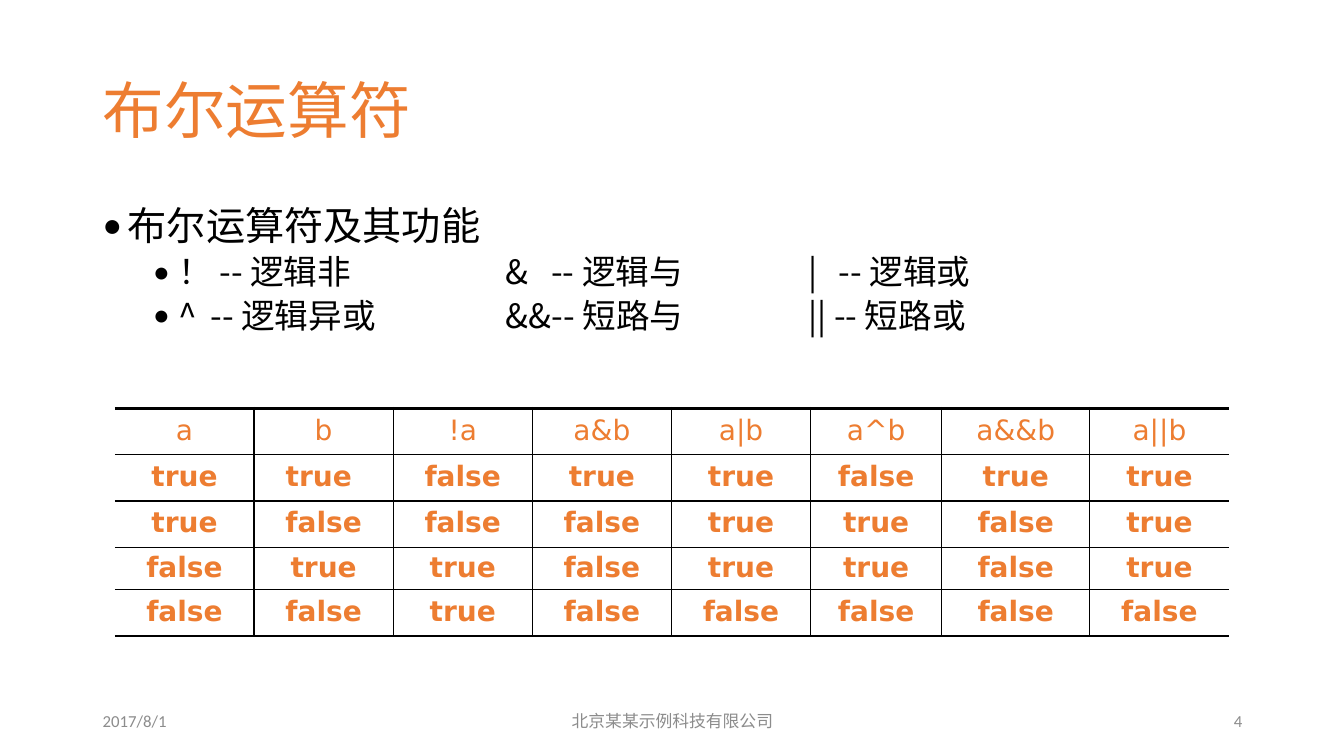
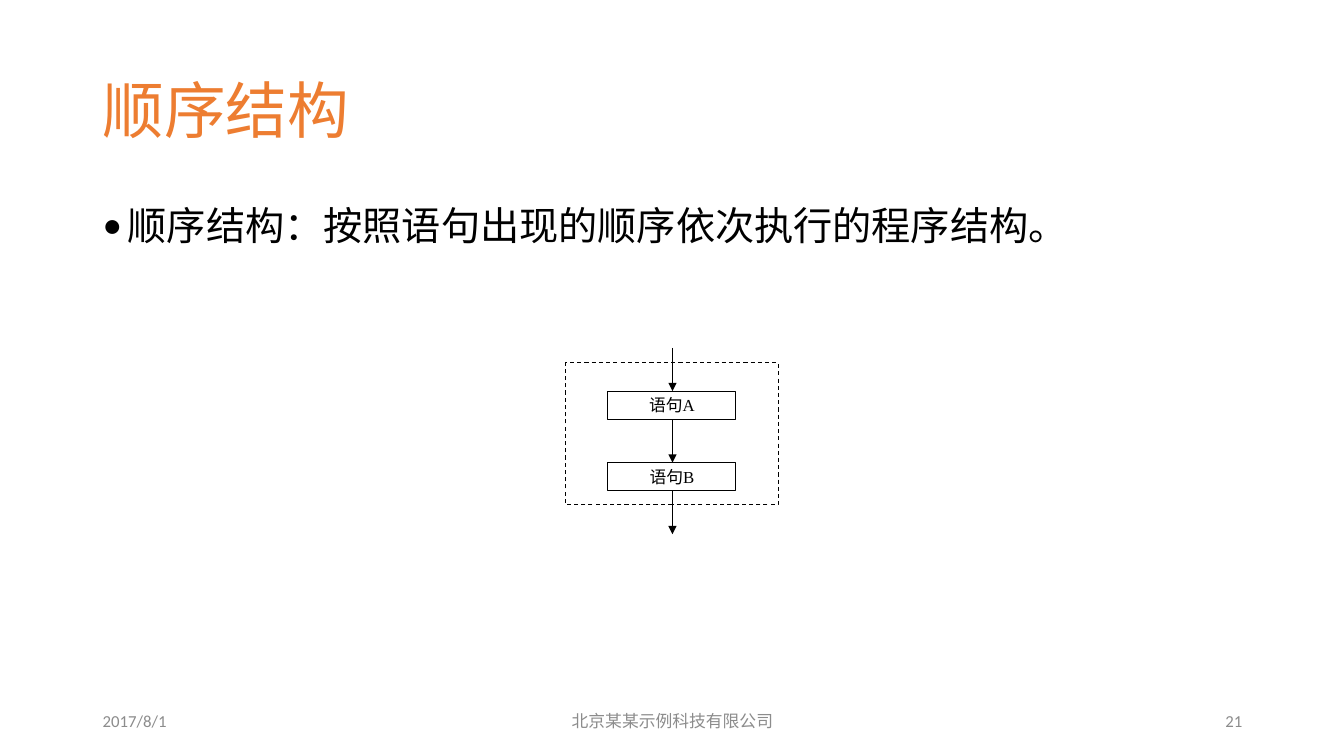
from dataclasses import dataclass

from lxml.etree import SubElement
from pptx import Presentation
from pptx.dml.color import RGBColor
from pptx.enum.dml import MSO_LINE
from pptx.enum.shapes import MSO_CONNECTOR, MSO_SHAPE
from pptx.enum.text import MSO_ANCHOR, PP_ALIGN
from pptx.oxml import parse_xml
from pptx.oxml.ns import nsdecls, qn
from pptx.slide import Slide
from pptx.util import Emu, Pt

EMU_PER_PX = 9144
COLOURS = {"accent": "ED7D31", "ink": "000000", "footer": "8C8C8C"}
CJK = "Noto Sans CJK SC"
LATIN = "Calibri"
CODE = "DejaVu Sans"
SERIF = "Times New Roman"


@dataclass(frozen=True)
class Box:
    left: int
    top: int
    width: int
    height: int


@dataclass(frozen=True)
class Style:
    size: int
    font: str
    colour: str
    bold: bool = False


@dataclass(frozen=True)
class Bullet:
    text: str
    level: int = 0
    tabs: tuple[int, ...] = ()


@dataclass(frozen=True)
class Level:
    style: Style
    indent: int
    space_before: int


@dataclass(frozen=True)
class Footer:
    box: Box
    font: str
    align: PP_ALIGN


TITLE_BOX = Box(92, 40, 869, 145)
BODY_BOX = Box(92, 200, 1150, 476)
TITLE = Style(44, CJK, "accent")
LEVELS = (
    Level(Style(28, CJK, "ink"), 25, 10),
    Level(Style(24, CJK, "ink"), 75, 5),
)
HANGING = 25
FOOTERS = (
    Footer(Box(92, 695, 300, 40), LATIN, PP_ALIGN.LEFT),
    Footer(Box(442, 695, 450, 40), CJK, PP_ALIGN.CENTER),
    Footer(Box(942, 695, 300, 40), LATIN, PP_ALIGN.RIGHT),
)
DATE = "2017/8/1"
COMPANY = "北京某某示例科技有限公司"

OPERATORS = (
    Bullet("布尔运算符及其功能"),
    Bullet("！ -- 逻辑非\t&\t-- 逻辑与\t|\t-- 逻辑或", 1, (400, 445, 700, 730)),
    Bullet("^\t-- 逻辑异或\t&&-- 短路与\t|| -- 短路或", 1, (107, 400, 700)),
)
TRUTH_TABLE = (
    ("a", "b", "!a", "a&b", "a|b", "a^b", "a&&b", "a||b"),
    ("true", "true ", "false", "true", "true", "false", "true", "true"),
    ("true", "false", "false", "false", "true", "true", "false", "true"),
    ("false", "true", "true", "false", "true", "true", "false", "true"),
    ("false", "false", "true", "false", "false", "false", "false", "false"),
)
TRUTH_COLUMNS = (138, 138, 138, 138, 138, 130, 147, 138)
TRUTH_ROWS = (46, 46, 46, 42, 46)


def px(length: int) -> Emu:
    return Emu(length * EMU_PER_PX)


def place(box: Box) -> tuple[Emu, Emu, Emu, Emu]:
    return px(box.left), px(box.top), px(box.width), px(box.height)


def colour(name: str) -> RGBColor:
    return RGBColor.from_string(COLOURS[name])


def add_run(paragraph, text: str, style: Style) -> None:
    run = paragraph.add_run()
    run.text = text
    run.font.size = Pt(style.size)
    run.font.name = style.font
    run.font.bold = style.bold
    run.font.color.rgb = colour(style.colour)
    east_asian = parse_xml(f'<a:ea {nsdecls("a")} typeface="{CJK}"/>')
    run.font._element.find(qn("a:latin")).addnext(east_asian)


def add_frame(slide: Slide, box: Box, anchor: MSO_ANCHOR):
    frame = slide.shapes.add_textbox(*place(box)).text_frame
    frame.word_wrap = True
    frame.vertical_anchor = anchor
    return frame


def add_title(slide: Slide, text: str) -> None:
    paragraph = add_frame(slide, TITLE_BOX, MSO_ANCHOR.MIDDLE).paragraphs[0]
    paragraph.line_spacing = 0.9
    add_run(paragraph, text, TITLE)


def add_bullets(slide: Slide, bullets: tuple[Bullet, ...]) -> None:
    frame = add_frame(slide, BODY_BOX, MSO_ANCHOR.TOP)
    for index, bullet in enumerate(bullets):
        paragraph = frame.add_paragraph() if index else frame.paragraphs[0]
        level = LEVELS[bullet.level]
        paragraph.level = bullet.level
        paragraph.line_spacing = 0.9
        paragraph.space_before = Pt(level.space_before)
        properties = paragraph._p.get_or_add_pPr()
        properties.set("marL", str(px(level.indent)))
        properties.set("indent", str(px(-HANGING)))
        SubElement(properties, qn("a:buFont"), typeface=LATIN)
        SubElement(properties, qn("a:buChar"), char="•")
        if bullet.tabs:
            stops = SubElement(properties, qn("a:tabLst"))
            for stop in bullet.tabs:
                SubElement(stops, qn("a:tab"), pos=str(px(stop)), algn="l")
        add_run(paragraph, bullet.text, level.style)


def add_footers(slide: Slide, number: int) -> None:
    for footer, text in zip(FOOTERS, (DATE, COMPANY, str(number))):
        paragraph = add_frame(slide, footer.box, MSO_ANCHOR.MIDDLE).paragraphs[0]
        paragraph.alignment = footer.align
        add_run(paragraph, text, Style(12, footer.font, "footer"))


def start_slide(deck, title: str, bullets: tuple[Bullet, ...], number: int) -> Slide:
    slide = deck.slides.add_slide(deck.slide_layouts[6])
    add_title(slide, title)
    add_bullets(slide, bullets)
    add_footers(slide, number)
    return slide


def set_borders(cell, widths: dict[str, float]) -> None:
    properties = cell._tc.get_or_add_tcPr()
    for position, (side, width) in enumerate(widths.items()):
        fill = (
            f'<a:solidFill><a:srgbClr val="{COLOURS["ink"]}"/></a:solidFill>'
            if width
            else "<a:noFill/>"
        )
        border = parse_xml(
            f'<a:ln{side} {nsdecls("a")} w="{Pt(width)}">{fill}</a:ln{side}>'
        )
        properties.insert(position, border)


def add_truth_table(slide: Slide) -> None:
    box = Box(114, 405, sum(TRUTH_COLUMNS), sum(TRUTH_ROWS))
    last_row, last_column = len(TRUTH_ROWS) - 1, len(TRUTH_COLUMNS) - 1
    table = slide.shapes.add_table(last_row + 1, last_column + 1, *place(box)).table
    table.first_row = table.horz_banding = False
    for column, width in zip(table.columns, TRUTH_COLUMNS):
        column.width = px(width)
    for row, height in zip(table.rows, TRUTH_ROWS):
        row.height = px(height)
    for r, values in enumerate(TRUTH_TABLE):
        for c, value in enumerate(values):
            cell = table.cell(r, c)
            cell.fill.background()
            cell.vertical_anchor = MSO_ANCHOR.MIDDLE
            cell.margin_left = cell.margin_right = px(13)
            cell.margin_top = cell.margin_bottom = px(5)
            paragraph = cell.text_frame.paragraphs[0]
            paragraph.alignment = PP_ALIGN.CENTER
            paragraph.line_spacing = 0.9
            add_run(paragraph, value, Style(20, CODE, "accent", bold=r > 0))
            set_borders(cell, {
                "L": 1 if c else 0,
                "R": 1 if c < last_column else 0,
                "T": 1 if r else 2.25,
                "B": 1 if r < last_row else 2.25,
            })


def add_outline(slide: Slide, box: Box):
    outline = slide.shapes.add_shape(MSO_SHAPE.RECTANGLE, *place(box))
    outline.shadow.inherit = False
    outline.fill.background()
    outline.line.color.rgb = colour("ink")
    outline.line.width = Pt(0.75)
    return outline


def add_statement(slide: Slide, box: Box, text: str) -> None:
    frame = add_outline(slide, box).text_frame
    frame.word_wrap = True
    frame.vertical_anchor = MSO_ANCHOR.TOP
    frame.margin_left = frame.margin_right = frame.margin_bottom = 0
    frame.margin_top = px(4)
    paragraph = frame.paragraphs[0]
    paragraph.alignment = PP_ALIGN.CENTER
    add_run(paragraph, text, Style(12, SERIF, "ink"))


def add_down_arrow(slide: Slide, x: int, top: int, bottom: int) -> None:
    arrow = slide.shapes.add_connector(
        MSO_CONNECTOR.STRAIGHT, px(x), px(top), px(x), px(bottom)
    )
    arrow.line.color.rgb = colour("ink")
    arrow.line.width = Pt(0.75)
    SubElement(arrow.line._get_or_add_ln(), qn("a:tailEnd"), type="triangle")
    SubElement(arrow._element.spPr, qn("a:effectLst"))


def add_sequence_flow(slide: Slide) -> None:
    centre, first_top, step, width, height = 667, 388, 71, 127, 28
    frame = add_outline(slide, Box(561, 360, 211, 141))
    frame.line.dash_style = MSO_LINE.DASH
    statements = ("语句A", "语句B")
    for index, text in enumerate(statements):
        top = first_top + index * step
        add_statement(slide, Box(centre - width // 2 - 1, top, width, height), text)
    for index in range(len(statements) + 1):
        bottom = first_top + index * step
        add_down_arrow(slide, centre, bottom - step + height, bottom)


def main() -> None:
    deck = Presentation()
    deck.slide_width, deck.slide_height = px(1333), px(750)
    add_truth_table(start_slide(deck, "布尔运算符", OPERATORS, 4))
    sequence = (Bullet("顺序结构：按照语句出现的顺序依次执行的程序结构。"),)
    add_sequence_flow(start_slide(deck, "顺序结构", sequence, 21))
    deck.save("out.pptx")


if __name__ == "__main__":
    main()
